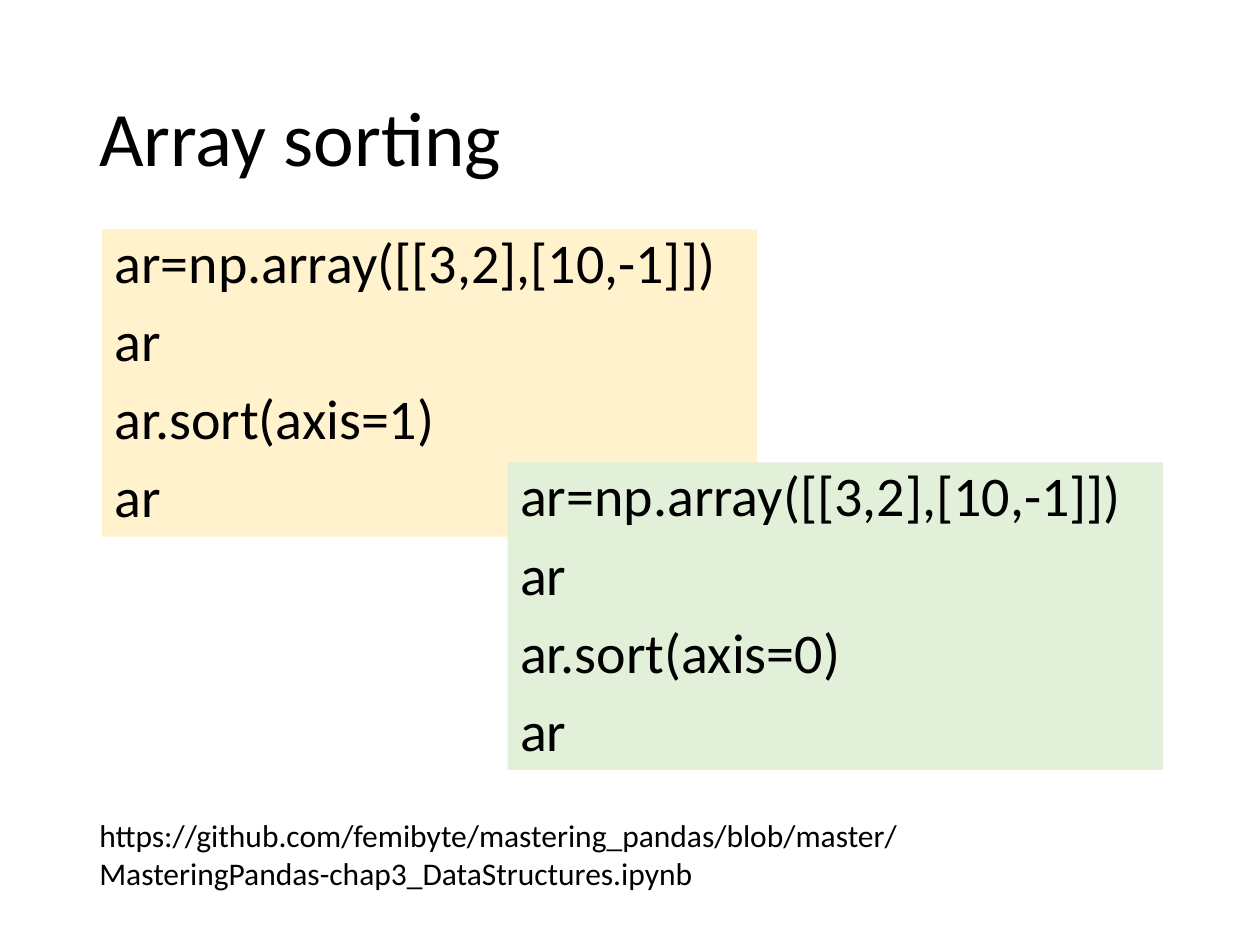
from pptx import Presentation
from pptx.dml.color import RGBColor
from pptx.enum.text import MSO_ANCHOR as Anchor
from pptx.util import Inches, Pt

FONT = "Calibri"
NOTEBOOK_URL = (
    "https://github.com/femibyte/mastering_pandas/blob/master/"
    "MasteringPandas-chap3_DataStructures.ipynb"
)


def color(hex_string):
    """Return the colour for a hex string."""
    return RGBColor.from_string(hex_string)


def add_text(slide, box, lines, size, line_spacing=1.0, gap=0, anchor=Anchor.TOP):
    """Add a wrapped text box with one paragraph per line."""
    shape = slide.shapes.add_textbox(*map(Inches, box))
    frame = shape.text_frame
    frame.word_wrap = True
    frame.vertical_anchor = anchor
    frame.text = "\n".join(lines)
    for index, paragraph in enumerate(frame.paragraphs):
        paragraph.line_spacing = line_spacing
        paragraph.space_before = Pt(gap if index else 0)
        paragraph.font.name = FONT
        paragraph.font.size = Pt(size)
        paragraph.font.color.rgb = color("000000")
    return shape


def add_title(slide, box):
    """Add the slide title."""
    add_text(slide, box, ["Array sorting"], 44, line_spacing=0.9, anchor=Anchor.MIDDLE)


def add_sort_example(slide, box, axis, fill):
    """Add a filled panel with code that sorts an array along an axis."""
    lines = ["ar=np.array([[3,2],[10,-1]])", "ar", f"ar.sort(axis={axis})", "ar"]
    panel = add_text(slide, box, lines, 32, line_spacing=0.9, gap=10)
    panel.fill.solid()
    panel.fill.fore_color.rgb = color(fill)


def add_source(slide, box):
    """Add the address of the notebook."""
    add_text(slide, box, [NOTEBOOK_URL], 18)


def main():
    """Build and save the slide."""
    presentation = Presentation()
    presentation.slide_width = Inches(10)
    presentation.slide_height = Inches(7.5)
    slide = presentation.slides.add_slide(presentation.slide_layouts[6])
    add_title(slide, (0.69, 0.4, 8.62, 1.45))
    add_sort_example(slide, (0.81, 1.82, 5.2, 2.44), 1, "FFF2CC")
    add_source(slide, (0.69, 6.43, 8.04, 0.71))
    add_sort_example(slide, (4.03, 3.67, 5.2, 2.44), 0, "E2F0D9")
    presentation.save("out.pptx")


if __name__ == "__main__":
    main()
